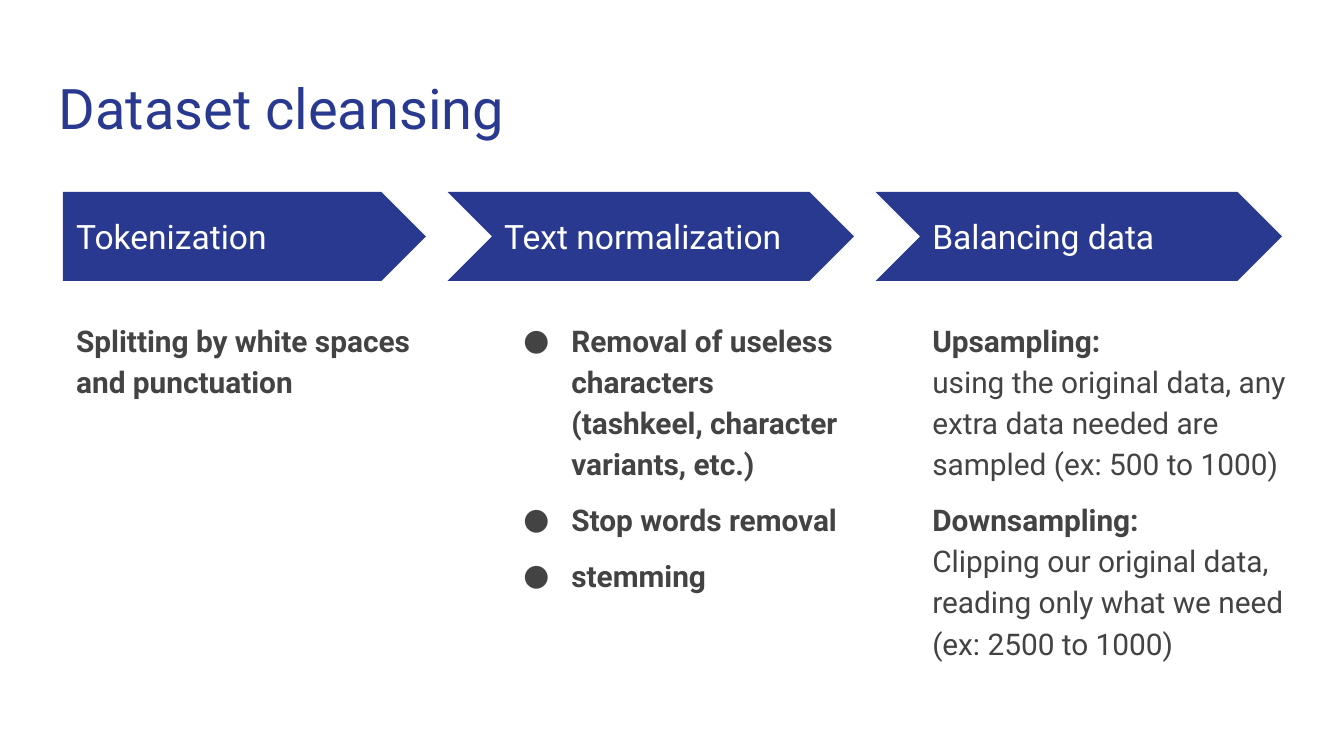
from lxml import etree
from pptx import Presentation
from pptx.dml.color import RGBColor
from pptx.enum import shapes, text
from pptx.oxml.ns import qn
from pptx.util import Cm, Pt

NAVY = RGBColor(0x2A, 0x39, 0x90)
GREY = RGBColor(0x43, 0x43, 0x43)
WHITE = RGBColor(0xFF, 0xFF, 0xFF)
FONT = "Roboto"

TITLE = "Dataset cleansing"
# Each paragraph is a bold lead and the plain text on the line below it.
STEPS = [
    {"label": "Tokenization", "bullets": False, "body_width": 6.86,
     "body": [("Splitting by white spaces and punctuation", "")]},
    {"label": "Text normalization", "bullets": True, "body_width": 6.86,
     "body": [("Removal of useless characters (tashkeel, character variants, etc.)", ""),
              ("Stop words removal", ""),
              ("stemming", "")]},
    {"label": "Balancing data", "bullets": False, "body_width": 7.67,
     "body": [("Upsampling:", "using the original data, any extra data needed "
               "are sampled (ex: 500 to 1000)"),
              ("Downsampling:", "Clipping our original data, reading only "
               "what we need (ex: 2500 to 1000)")]},
]

# Lengths in cm
LEFT, PITCH = 1.19, 8.09
ARROW_TOP, ARROW_H, ARROW_W = 3.63, 1.68, 6.86
NOTCH = 0.82
LABEL_W, LABEL_H = 6.27, 0.86
BODY_TOP, BODY_H = 5.74, 7.37
INSET = 0.25


def add_text_frame(slide, left, top, width, height):
    tf = slide.shapes.add_textbox(Cm(left), Cm(top), Cm(width), Cm(height)).text_frame
    tf.word_wrap = True
    tf.margin_left = tf.margin_right = tf.margin_top = tf.margin_bottom = Cm(INSET)
    return tf


def add_run(p, content, size, color, bold=False):
    r = p.add_run()
    r.text = content
    r.font.name, r.font.size, r.font.bold = FONT, Pt(size), bold
    r.font.color.rgb = color


def add_bullet(p):
    pPr = p._p.get_or_add_pPr()
    pPr.set("marL", str(Cm(1.27)))
    pPr.set("indent", str(Cm(-0.91)))
    clr = etree.SubElement(pPr, qn("a:buClr"))
    etree.SubElement(clr, qn("a:srgbClr"), val=str(GREY))
    etree.SubElement(pPr, qn("a:buFont"), typeface=FONT)
    etree.SubElement(pPr, qn("a:buChar"), char="●")


def add_arrow(slide, left, first):
    kind = shapes.MSO_SHAPE.PENTAGON if first else shapes.MSO_SHAPE.CHEVRON
    notch = 0 if first else NOTCH
    sp = slide.shapes.add_shape(kind, Cm(left - notch), Cm(ARROW_TOP),
                                Cm(ARROW_W + notch), Cm(ARROW_H))
    sp.adjustments[0] = 0.5
    sp.shadow.inherit = False
    sp.fill.solid()
    sp.fill.fore_color.rgb = NAVY
    sp.line.fill.background()


def add_body(slide, left, step):
    tf = add_text_frame(slide, left, BODY_TOP, step["body_width"], BODY_H)
    for i, (lead, detail) in enumerate(step["body"]):
        p = tf.add_paragraph() if i else tf.paragraphs[0]
        p.line_spacing = 1.15
        p.space_before = Pt(8 if i else 0)
        if step["bullets"]:
            add_bullet(p)
        add_run(p, lead, 16, GREY, bold=True)
        if detail:
            p.add_line_break()
            add_run(p, detail, 16, GREY)
    p.space_after = Pt(8)


def main():
    prs = Presentation()
    prs.slide_width, prs.slide_height = Cm(25.4), Cm(14.29)
    slide = prs.slides.add_slide(prs.slide_layouts[6])

    title = add_text_frame(slide, 0.86, 1.14, 23.67, 1.68)
    add_run(title.paragraphs[0], TITLE, 30, NAVY)

    for i, step in enumerate(STEPS):
        left = LEFT + i * PITCH
        add_arrow(slide, left, first=i == 0)
        label = add_text_frame(slide, left, ARROW_TOP + (ARROW_H - LABEL_H) / 2,
                               LABEL_W, LABEL_H)
        label.vertical_anchor = text.MSO_ANCHOR.MIDDLE
        add_run(label.paragraphs[0], step["label"], 18, WHITE)
        add_body(slide, left, step)

    prs.save("out.pptx")


if __name__ == "__main__":
    main()
